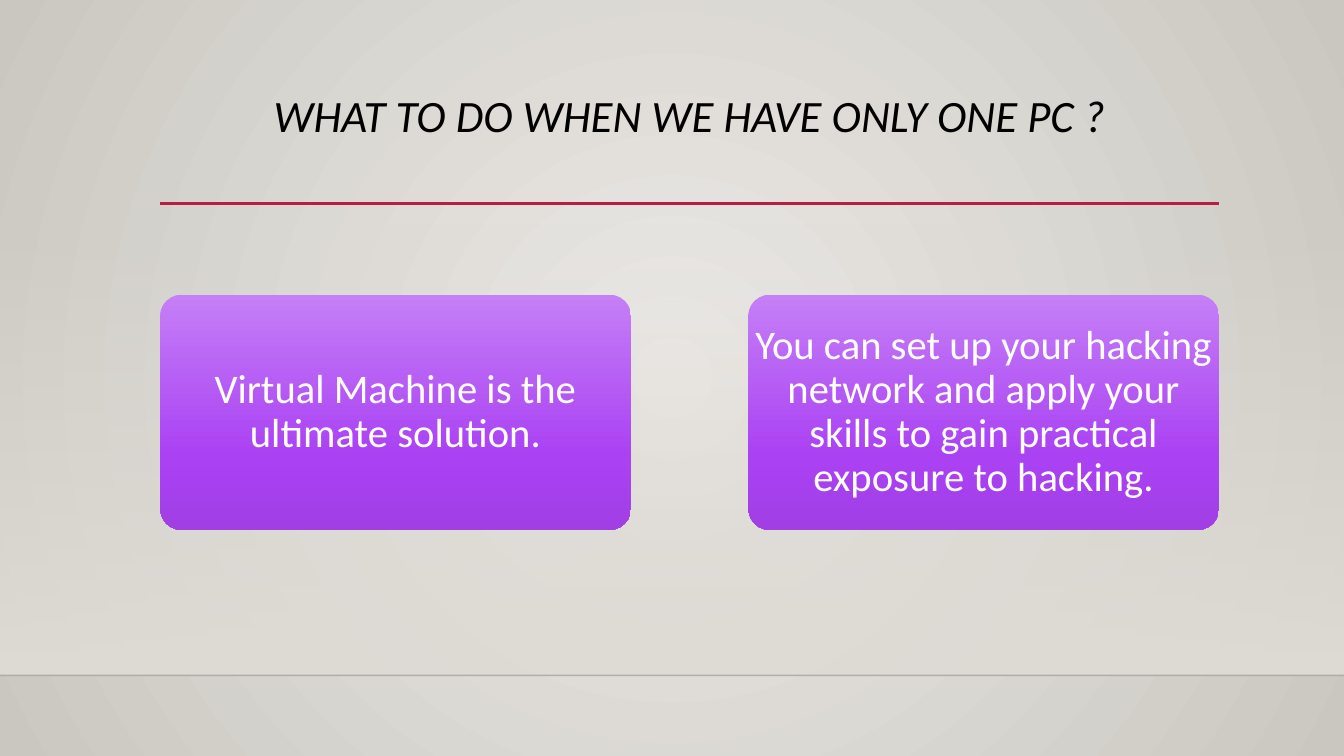
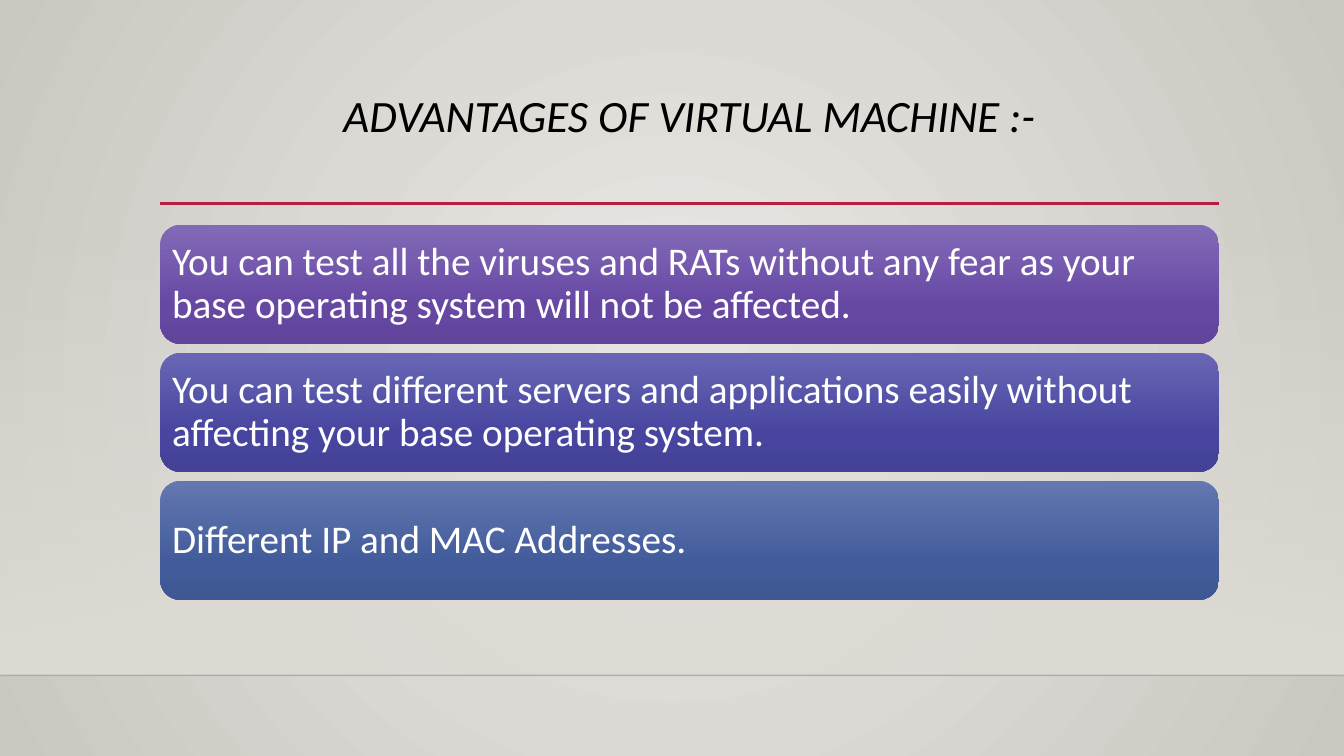
"""Build two slides about virtual machines."""

from dataclasses import dataclass

from lxml import etree
from pptx import Presentation
from pptx.dml.color import RGBColor
from pptx.enum.shapes import MSO_CONNECTOR, MSO_SHAPE
from pptx.enum.text import MSO_ANCHOR, MSO_AUTO_SIZE, PP_ALIGN
from pptx.oxml.ns import qn
from pptx.util import Inches, Pt

ROUNDED, RECTANGLE = MSO_SHAPE.ROUNDED_RECTANGLE, MSO_SHAPE.RECTANGLE
STRAIGHT = MSO_CONNECTOR.STRAIGHT
TOP, MIDDLE = MSO_ANCHOR.TOP, MSO_ANCHOR.MIDDLE
LEFT, CENTER = PP_ALIGN.LEFT, PP_ALIGN.CENTER
NO_AUTOFIT = MSO_AUTO_SIZE.NONE

WIDTH, HEIGHT = 13.33, 7.5
MARGIN, BODY_WIDTH, BODY_MIDDLE = 1.59, 10.5, 4.09
COLUMN = BODY_WIDTH / 9
ROW, ROW_GAP = 1.18, 0.09
TITLE_TOP, TITLE_HEIGHT, RULE_TOP = 0.88, 1.15, 2.02
BAND_TOP, FLOOR = 2.21, 6.7


@dataclass(frozen=True)
class Theme:
    """Colours, font and type sizes of the deck."""

    font: str = "Calibri"
    title_size: int = 32
    card_size: int = 29
    row_size: int = 28
    ink: str = "000000"
    paper: str = "FFFFFF"
    rule: str = "B71E42"
    backdrop: tuple = ((0, "ECEAE7"), (100, "CAC7C1"))
    band: tuple = ((0, "DFDBD5", 0), (100, "DFDBD5"))
    violet: tuple = ((0, "C57FF7"), (69, "AA41F3"), (100, "A13FE5"))
    purple: tuple = ((0, "836AB8"), (69, "6648A3"), (100, "60459A"))
    indigo: tuple = ((0, "6866B4"), (69, "47459F"), (100, "434297"))
    blue: tuple = ((0, "6378B0"), (69, "425B9B"), (100, "3F5793"))


THEME = Theme()


def add_child(parent, tag, **attributes):
    """Append one XML element with the given attributes."""
    texts = {name: str(value) for name, value in attributes.items()}
    return etree.SubElement(parent, qn(tag), texts)


def set_alpha(color, percent):
    """Make a colour element partly transparent."""
    add_child(color, "a:alpha", val=percent * 1000)


def set_gradient(fill, holder, stops, radial=False):
    """Give a fill a vertical or radial gradient."""
    fill.solid()
    solid = holder.find(qn("a:solidFill"))
    gradient = etree.Element(qn("a:gradFill"), {"rotWithShape": "1"})
    stop_list = add_child(gradient, "a:gsLst")
    for position, color, *alpha in stops:
        stop = add_child(stop_list, "a:gs", pos=position * 1000)
        shade = add_child(stop, "a:srgbClr", val=color)
        for percent in alpha:
            set_alpha(shade, percent)
    if radial:
        circle = add_child(gradient, "a:path", path="circle")
        add_child(circle, "a:fillToRect", l=50000, t=50000, r=50000, b=50000)
    else:
        add_child(gradient, "a:lin", ang=5400000, scaled=0)
    holder.replace(solid, gradient)


def write(shape, text, *, size, color, align=LEFT, anchor=MIDDLE, italic=False, insets=(0.1, 0.05)):
    """Put one formatted paragraph in a shape."""
    frame = shape.text_frame
    frame.word_wrap, frame.auto_size, frame.vertical_anchor = True, NO_AUTOFIT, anchor
    frame.margin_left = frame.margin_right = Inches(insets[0])
    frame.margin_top = frame.margin_bottom = Inches(insets[1])
    para = frame.paragraphs[0]
    para.alignment, para.line_spacing = align, 0.9
    span = para.add_run()
    span.text = text
    span.font.name, span.font.size, span.font.italic = THEME.font, Pt(size), italic
    span.font.color.rgb = RGBColor.from_string(color)


class SlideBuilder:
    """Hold the deck and draw on its current slide."""

    def __init__(self):
        """Open a deck with the shared backdrop."""
        self.deck = Presentation()
        self.deck.slide_width, self.deck.slide_height = Inches(WIDTH), Inches(HEIGHT)
        self.page = None
        master = self.deck.slide_master
        fill = master.background.fill
        fill.solid()
        holder = next(master.element.iter(qn("p:bgPr")))
        set_gradient(fill, holder, THEME.backdrop, radial=True)

    def start(self, title):
        """Add a titled page with its band and lines."""
        self.page = self.deck.slides.add_slide(self.deck.slide_layouts[5])
        self.box(RECTANGLE, 0, BAND_TOP, WIDTH, FLOOR - BAND_TOP, THEME.band)
        self.line(0, FLOOR, WIDTH, THEME.ink, 1, alpha=20)
        self.line(MARGIN, RULE_TOP, BODY_WIDTH, THEME.rule, 2.5)
        heading = self.page.shapes.title
        heading.left, heading.top = Inches(MARGIN), Inches(TITLE_TOP)
        heading.width, heading.height = Inches(BODY_WIDTH), Inches(TITLE_HEIGHT)
        write(heading, title, size=THEME.title_size, color=THEME.ink,
              align=CENTER, anchor=TOP, italic=True)

    def line(self, left, top, width, color, weight, alpha=None):
        """Draw a horizontal line."""
        rule = self.page.shapes.add_connector(
            STRAIGHT, Inches(left), Inches(top), Inches(left + width), Inches(top))
        rule.line.color.rgb = RGBColor.from_string(color)
        rule.line.width = Pt(weight)
        properties = rule.element.spPr
        if alpha is not None:
            set_alpha(next(properties.iter(qn("a:srgbClr"))), alpha)
        add_child(properties, "a:effectLst")

    def box(self, kind, left, top, width, height, stops):
        """Draw a gradient shape without an outline."""
        shape = self.page.shapes.add_shape(
            kind, Inches(left), Inches(top), Inches(width), Inches(height))
        shape.shadow.inherit = False
        shape.line.fill.background()
        set_gradient(shape.fill, shape.element.spPr, stops)
        return shape

    def card(self, text, column):
        """Draw a card four columns wide and two high."""
        card = self.box(ROUNDED, MARGIN + column * COLUMN, BODY_MIDDLE - COLUMN,
                        4 * COLUMN, 2 * COLUMN, THEME.violet)
        card.adjustments[0] = 0.09
        write(card, text, size=THEME.card_size, color=THEME.paper, align=CENTER, insets=(0, 0))

    def rows(self, items):
        """Stack full-width bars around the body's middle."""
        pitch = ROW + ROW_GAP
        top = BODY_MIDDLE - (len(items) * pitch - ROW_GAP) / 2
        for index, (text, stops) in enumerate(items):
            bar = self.box(ROUNDED, MARGIN, top + index * pitch, BODY_WIDTH, ROW, stops)
            write(bar, text, size=THEME.row_size, color=THEME.paper, insets=(0.06, 0.06))


def main():
    """Build both slides and save the deck."""
    builder = SlideBuilder()

    builder.start("WHAT TO DO WHEN WE HAVE ONLY ONE PC ?")
    builder.card("Virtual Machine is the ultimate solution.", column=0)
    builder.card("You can set up your hacking network and apply your skills "
                 "to gain practical exposure to hacking.", column=5)

    builder.start("ADVANTAGES OF VIRTUAL MACHINE :-")
    builder.rows([
        ("You can test all the viruses and RATs without any fear as your "
         "base operating system will not be affected.", THEME.purple),
        ("You can test different servers and applications easily without "
         "affecting your base operating system.", THEME.indigo),
        ("Different IP and MAC Addresses.", THEME.blue),
    ])

    builder.deck.save("out.pptx")


if __name__ == "__main__":
    main()
